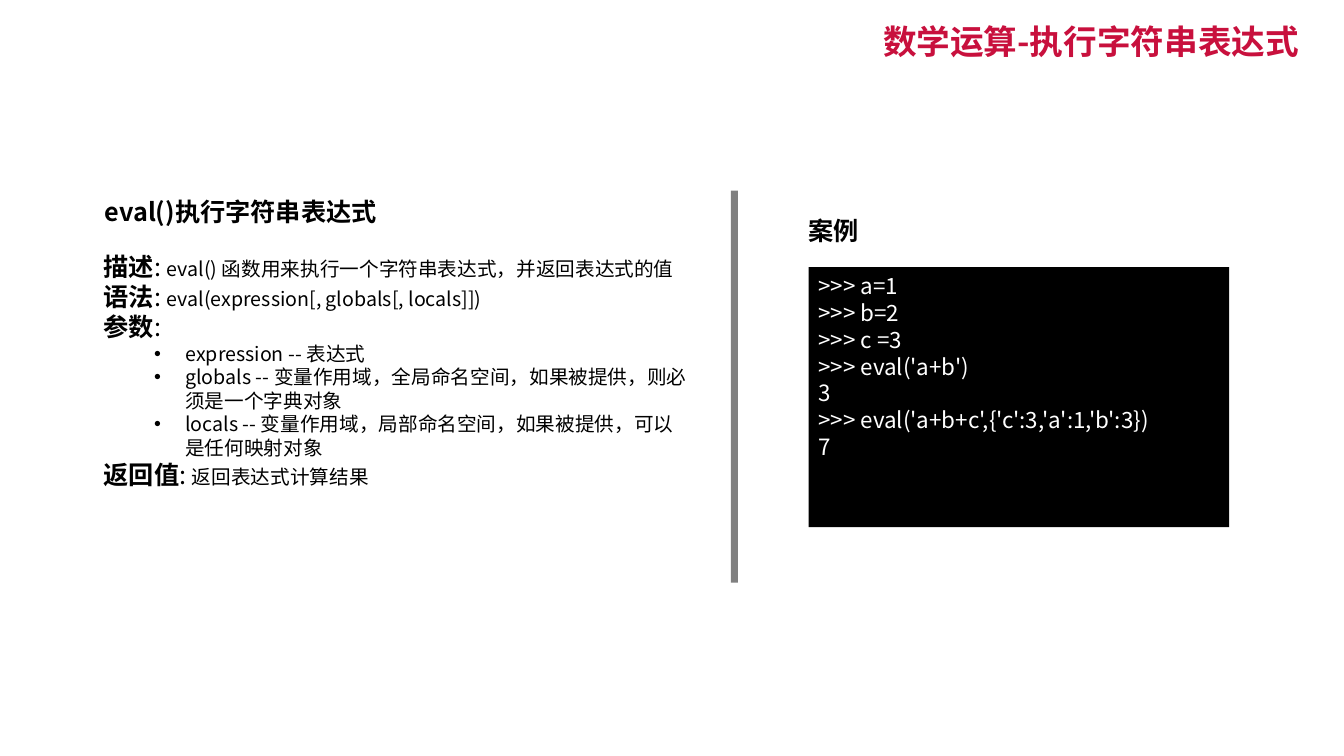
from lxml import etree
from pptx import Presentation
from pptx.dml.color import RGBColor
from pptx.enum.shapes import MSO_SHAPE
from pptx.enum.text import MSO_ANCHOR, PP_ALIGN
from pptx.oxml.ns import qn
from pptx.util import Inches, Pt

CRIMSON = RGBColor(0xC8, 0x10, 0x3D)
BLACK = RGBColor(0, 0, 0)
WHITE = RGBColor(0xFF, 0xFF, 0xFF)
GRAY = RGBColor(0x80, 0x80, 0x80)
LEFT, RIGHT = PP_ALIGN.LEFT, PP_ALIGN.RIGHT
TOP, MIDDLE = MSO_ANCHOR.TOP, MSO_ANCHOR.MIDDLE
RECTANGLE = MSO_SHAPE.RECTANGLE

DETAILS = [
    ("描述", ": ", "eval() 函数用来执行一个字符串表达式，并返回表达式的值"),
    ("语法", ": ", "eval(expression[, globals[, locals]])"),
    ("参数", ":", ""),
    "expression -- 表达式",
    "globals -- 变量作用域，全局命名空间，如果被提供，则必须是一个字典对象",
    "locals -- 变量作用域，局部命名空间，如果被提供，可以是任何映射对象",
    ("返回值", ": ", "返回表达式计算结果"),
]
CONSOLE = [
    ">>> a=1",
    ">>> b=2",
    ">>> c =3",
    ">>> eval('a+b')",
    "3",
    ">>> eval('a+b+c',{'c':3,'a':1,'b':3})",
    "7",
]


class SlideBuilder:
    font = "Noto Sans CJK SC"
    line_ratio = 1.2
    heading_size = 18
    body_size = 14
    code_size = 16

    def __init__(self, presentation):
        self.slide = presentation.slides.add_slide(presentation.slide_layouts[6])

    def style(self, run, size, color=BLACK, bold=False):
        run.font.name = self.font
        run.font.size = Pt(size)
        run.font.bold = bold
        run.font.color.rgb = color
        east_asian = etree.SubElement(run.font._element, qn("a:ea"))
        east_asian.set("typeface", self.font)

    def space(self, paragraph, size):
        paragraph.line_spacing = Pt(round(size * self.line_ratio, 1))

    def text_box(self, left, top, width, height, wrap=True, anchor=TOP):
        shape = self.slide.shapes.add_textbox(
            Inches(left), Inches(top), Inches(width), Inches(height))
        shape.text_frame.word_wrap = wrap
        shape.text_frame.vertical_anchor = anchor
        return shape.text_frame

    def title(self, text, left, top, width, height, size=24):
        frame = self.text_box(left, top, width, height, anchor=MIDDLE)
        frame.text = text
        paragraph = frame.paragraphs[0]
        paragraph.alignment = RIGHT
        self.space(paragraph, size)
        self.style(paragraph.runs[0], size, CRIMSON, True)

    def heading(self, text, left, top, width, height):
        frame = self.text_box(left, top, width, height, wrap=False)
        frame.text = text
        self.space(frame.paragraphs[0], self.heading_size)
        self.style(frame.paragraphs[0].runs[0], self.heading_size, bold=True)

    def bullet(self, paragraph):
        paragraph.level = 1
        properties = paragraph._p.get_or_add_pPr()
        properties.set("marL", str(Inches(0.81)))
        properties.set("indent", str(Inches(-0.31)))
        etree.SubElement(properties, qn("a:buFont")).set("typeface", "Arial")
        etree.SubElement(properties, qn("a:buChar")).set("char", "•")

    def details(self, entries, left, top, width, height):
        frame = self.text_box(left, top, width, height)
        for index, entry in enumerate(entries):
            paragraph = frame.add_paragraph() if index else frame.paragraphs[0]
            if isinstance(entry, str):
                paragraph.text = entry
                self.space(paragraph, self.body_size)
                self.style(paragraph.runs[0], self.body_size)
                self.bullet(paragraph)
                continue
            self.space(paragraph, self.heading_size)
            sizes = (self.heading_size, self.heading_size, self.body_size)
            for position, (text, size) in enumerate(zip(entry, sizes)):
                if text:
                    run = paragraph.add_run()
                    run.text = text
                    self.style(run, size, bold=position == 0)

    def block(self, color, left, top, width, height):
        shape = self.slide.shapes.add_shape(
            RECTANGLE, Inches(left), Inches(top), Inches(width), Inches(height))
        shape.shadow.inherit = False
        shape.fill.solid()
        shape.fill.fore_color.rgb = color
        shape.line.fill.background()
        return shape

    def console(self, lines, left, top, width, height):
        frame = self.block(BLACK, left, top, width, height).text_frame
        frame.word_wrap = True
        frame.vertical_anchor = TOP
        frame.text = "\n".join(lines)
        for paragraph in frame.paragraphs:
            paragraph.alignment = LEFT
            self.space(paragraph, self.code_size)
            self.style(paragraph.runs[0], self.code_size, WHITE)


def main():
    presentation = Presentation()
    presentation.slide_width = Inches(13.33)
    presentation.slide_height = Inches(7.5)
    builder = SlideBuilder(presentation)
    builder.title("数学运算-执行字符串表达式", 6.67, 0.2, 6.31, 0.41)
    builder.heading("eval()执行字符串表达式", 0.94, 1.9, 3, 0.4)
    builder.details(DETAILS, 0.93, 2.44, 6.02, 2.79)
    builder.block(GRAY, 7.25, 1.89, 0.07, 3.89)
    builder.heading("案例", 7.92, 2.09, 0.71, 0.4)
    builder.console(CONSOLE, 8.02, 2.65, 4.17, 2.58)
    presentation.save("out.pptx")


if __name__ == "__main__":
    main()
